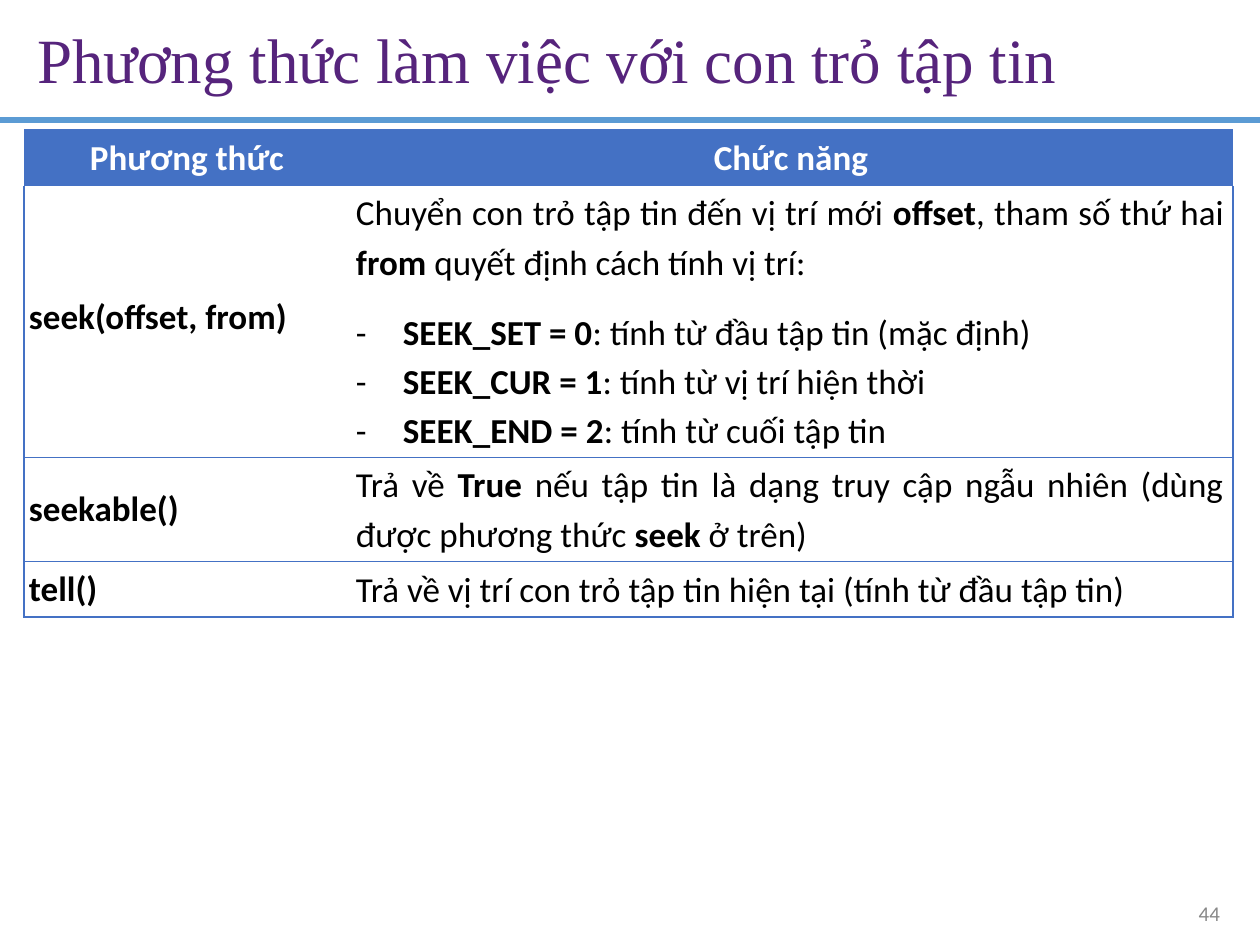
from dataclasses import dataclass

import lxml.etree
import pptx
import pptx.dml.color
import pptx.enum.shapes
import pptx.enum.text
import pptx.oxml.ns
import pptx.util

ALIGN = pptx.enum.text.PP_ALIGN
ANCHOR = pptx.enum.text.MSO_ANCHOR
EMU_PER_PX = 914400 / 126
PLAIN_TABLE_STYLE = "{2D5ABB26-0587-4C30-8999-92F81FD0307C}"


@dataclass(frozen=True)
class Theme:
    title_font: str = "Times New Roman"
    body_font: str = "Calibri"
    title_color: str = "56247C"
    rule_color: str = "5B9BD4"
    table_color: str = "4471C4"
    header_color: str = "FFFFFF"
    text_color: str = "000000"
    number_color: str = "888888"
    title_size: int = 36
    body_size: int = 20
    number_size: int = 12
    line_spacing: float = 1.15


def px(length):
    return pptx.util.Emu(round(length * EMU_PER_PX))


def rgb(color):
    return pptx.dml.color.RGBColor.from_string(color)


def add_element(parent, tag, **attributes):
    return lxml.etree.SubElement(parent, pptx.oxml.ns.qn(tag), attributes)


class SlideBuilder:
    def __init__(self, slide, theme):
        self.slide = slide
        self.theme = theme

    def style_font(self, paragraph, name, size, color, bold=None):
        paragraph.font.name = name
        paragraph.font.size = pptx.util.Pt(size)
        paragraph.font.color.rgb = rgb(color)
        paragraph.font.bold = bold

    def prepare_frame(self, frame):
        frame.margin_left = frame.margin_top = 0
        frame.margin_right = frame.margin_bottom = 0
        frame.auto_size = pptx.enum.text.MSO_AUTO_SIZE.NONE
        frame.vertical_anchor = ANCHOR.TOP
        frame.word_wrap = True

    def title(self, text, left, top, width, height):
        shape = self.slide.shapes.title
        shape.left, shape.top = px(left), px(top)
        shape.width, shape.height = px(width), px(height)
        self.prepare_frame(shape.text_frame)
        shape.text_frame.text = text
        paragraph = shape.text_frame.paragraphs[0]
        paragraph.alignment = ALIGN.LEFT
        self.style_font(paragraph, self.theme.title_font, self.theme.title_size,
                        self.theme.title_color)

    def rule(self, left, top, right):
        connector = self.slide.shapes.add_connector(
            pptx.enum.shapes.MSO_CONNECTOR.STRAIGHT, px(left), px(top), px(right), px(top))
        connector.line.color.rgb = rgb(self.theme.rule_color)
        connector.line.width = pptx.util.Pt(3)
        add_element(connector._element.spPr, "a:effectLst")

    def page_number(self, text, left, top, width, height):
        box = self.slide.shapes.add_textbox(px(left), px(top), px(width), px(height))
        self.prepare_frame(box.text_frame)
        box.text_frame.text = text
        paragraph = box.text_frame.paragraphs[0]
        paragraph.alignment = ALIGN.RIGHT
        self.style_font(paragraph, self.theme.body_font, self.theme.number_size,
                        self.theme.number_color)

    def borders(self, cell, sides):
        properties = cell._tc.get_or_add_tcPr()
        for position, side in enumerate(sides):
            line = add_element(properties, f"a:ln{side}", w=str(pptx.util.Pt(1)))
            fill = add_element(line, "a:solidFill")
            add_element(fill, "a:srgbClr", val=self.theme.table_color)
            properties.insert(position, line)

    def bullet(self, paragraph, hanging):
        properties = paragraph._p.get_or_add_pPr()
        properties.set("marL", str(px(hanging)))
        properties.set("indent", str(-px(hanging)))
        add_element(properties, "a:buFont", typeface=self.theme.body_font)
        add_element(properties, "a:buChar", char="-")

    def spacer_cell(self, cell):
        cell.margin_left = cell.margin_right = cell.margin_top = cell.margin_bottom = 0
        cell.fill.background()
        add_element(cell.text_frame.paragraphs[0]._p, "a:endParaRPr", sz="100")

    def cell(self, cell, paragraphs, color, alignment, margins, bold=None):
        cell.vertical_anchor = ANCHOR.MIDDLE
        cell.margin_left, cell.margin_right, cell.margin_bottom = map(px, margins)
        cell.margin_top = 0
        previous_bulleted = False
        for index, text in enumerate(paragraphs):
            frame = cell.text_frame
            paragraph = frame.add_paragraph() if index else frame.paragraphs[0]
            bulleted = text.startswith("- ")
            paragraph.alignment = ALIGN.LEFT if bulleted else alignment
            paragraph.line_spacing = self.theme.line_spacing
            paragraph.space_before = pptx.util.Pt(12 if bulleted and not previous_bulleted else 0)
            if bulleted:
                self.bullet(paragraph, 47)
            self.style_font(paragraph, self.theme.body_font, self.theme.body_size, color, bold)
            for part, words in enumerate(text.removeprefix("- ").split("**")):
                if words:
                    run = paragraph.add_run()
                    run.text = words
                    if part % 2:
                        run.font.bold = True
            previous_bulleted = bulleted

    def table(self, headers, rows, left, top, widths, heights):
        frame = self.slide.shapes.add_table(
            len(heights), len(widths), px(left), px(top), px(sum(widths)), px(sum(heights)))
        table = frame.table
        table._tbl.tblPr.find(pptx.oxml.ns.qn("a:tableStyleId")).text = PLAIN_TABLE_STYLE
        table.first_row = table.horz_banding = False
        for column, width in zip(table.columns, widths):
            column.width = px(width)
        for row, height in zip(table.rows, heights):
            row.height = px(height)
        for cell in table.rows[0].cells:
            self.spacer_cell(cell)
        header_layout = ((ALIGN.LEFT, 66), (ALIGN.CENTER, 26))
        for column, (text, (alignment, margin)) in enumerate(zip(headers, header_layout)):
            cell = table.cell(1, column)
            self.cell(cell, [text], self.theme.header_color, alignment, (margin, 0, 4), True)
            cell.fill.solid()
            cell.fill.fore_color.rgb = rgb(self.theme.table_color)
        for index, (method, description, lift) in enumerate(rows, 2):
            name_cell, description_cell = table.cell(index, 0), table.cell(index, 1)
            self.cell(name_cell, [method], self.theme.text_color, ALIGN.LEFT,
                      (5, 0, lift), True)
            self.cell(description_cell, description, self.theme.text_color,
                      ALIGN.JUSTIFY, (33, 9, min(lift, 4)))
            for cell, sides in ((name_cell, "LB"), (description_cell, "RB")):
                cell.fill.background()
                self.borders(cell, sides)


def main():
    presentation = pptx.Presentation()
    presentation.slide_width, presentation.slide_height = px(1260), px(945)
    slide = presentation.slides.add_slide(presentation.slide_layouts[5])
    builder = SlideBuilder(slide, Theme())
    builder.rule(0, 120, 1260)
    builder.title("Phương thức làm việc với con trỏ tập tin", 37, 21, 1100, 79)
    builder.page_number("44", 1189, 901, 31, 24)
    builder.table(
        ("Phương thức", "Chức năng"),
        (
            ("seek(offset, from)", (
                "Chuyển con trỏ tập tin đến vị trí mới **offset**, tham số thứ hai "
                "**from** quyết định cách tính vị trí:",
                "- **SEEK_SET = 0**: tính từ đầu tập tin (mặc định)",
                "- **SEEK_CUR = 1**: tính từ vị trí hiện thời",
                "- **SEEK_END = 2**: tính từ cuối tập tin",
            ), 14),
            ("seekable()", (
                "Trả về **True** nếu tập tin là dạng truy cập ngẫu nhiên (dùng "
                "được phương thức **seek** ở trên)",
            ), 5),
            ("tell()", (
                "Trả về vị trí con trỏ tập tin hiện tại (tính từ đầu tập tin)",
            ), 5),
        ),
        24, 119, (299, 910), (10, 57, 270, 104, 56),
    )
    presentation.save("out.pptx")


if __name__ == "__main__":
    main()
